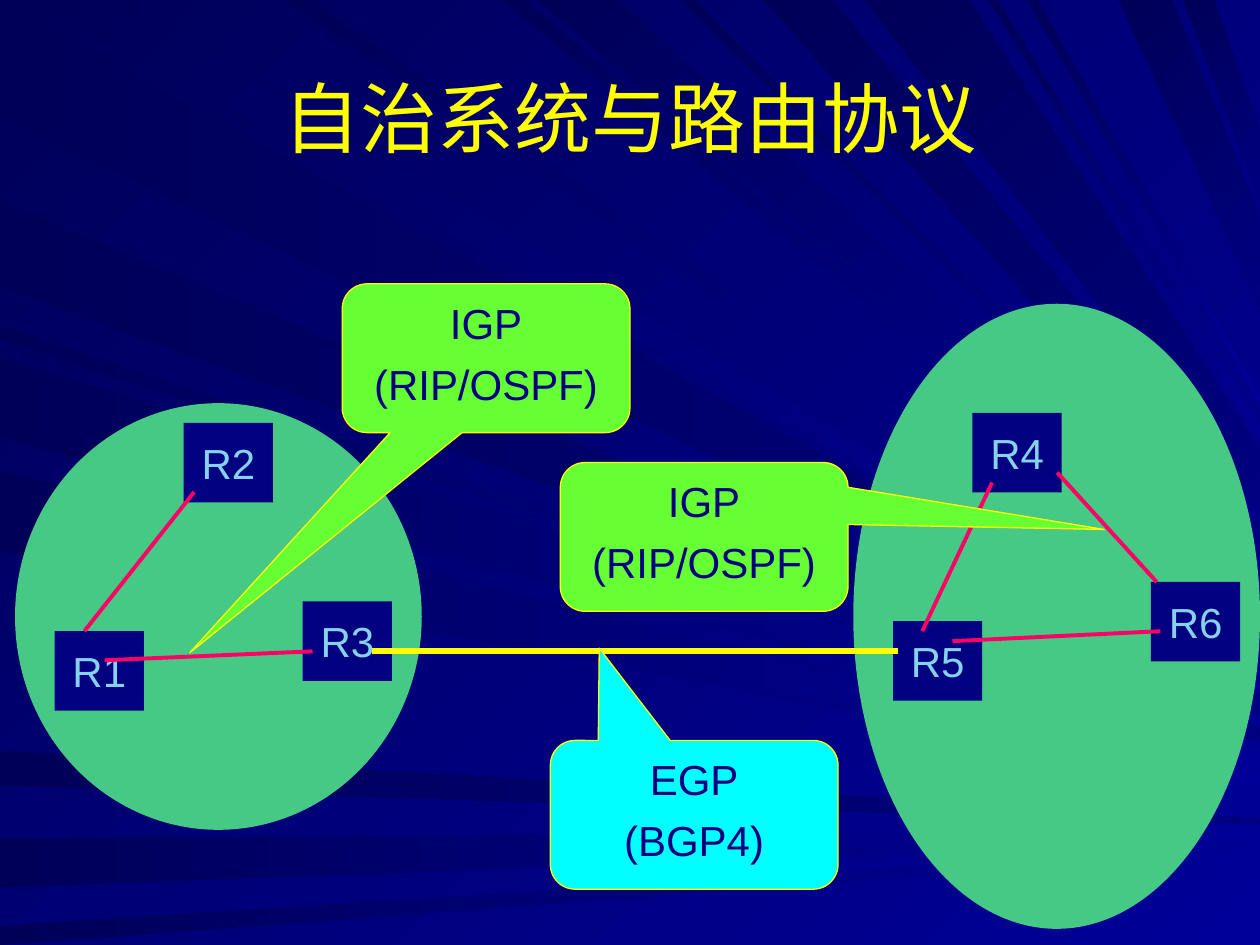
"""Build the slide on autonomous systems and routing protocols."""
from lxml.etree import SubElement
from pptx import Presentation
from pptx.dml.color import RGBColor
from pptx.enum.shapes import MSO_CONNECTOR, MSO_SHAPE
from pptx.enum.text import MSO_ANCHOR, PP_ALIGN
from pptx.oxml.ns import qn
from pptx.util import Pt

MIDNIGHT = RGBColor(0x00, 0x00, 0x58)
NAVY = RGBColor(0x00, 0x00, 0x80)
BLUE = RGBColor(0x00, 0x00, 0x99)
SEA = RGBColor(0x45, 0xC9, 0x84)
SKY = RGBColor(0x86, 0xD1, 0xEC)
PINK = RGBColor(0xFF, 0x00, 0x66)
YELLOW = RGBColor(0xFF, 0xFF, 0x00)
LIME = RGBColor(0x66, 0xFF, 0x33)
CYAN = RGBColor(0x00, 0xFF, 0xFF)

TITLE = "自治系统与路由协议"
FONT = "Arial"
SLIDE_SIZE = (720, 540)
ROUTER_SIZE = (51, 45.4)
CALLOUT_SIZE = (164.4, 85)

SYSTEMS = [
    {
        "area": (8.6, 230.4, 232.4, 243.8),
        "routers": {"R1": (31.2, 360.7), "R2": (105, 241.7), "R3": (173, 343.7)},
        "links": [((59.8, 377.3), (178.6, 372.2)), ((48.2, 360.7), (110.9, 281.2))],
    },
    {
        "area": (487.6, 173.6, 232.4, 357.2),
        "routers": {"R5": (510.3, 355), "R4": (555.7, 236), "R6": (657.7, 332.6)},
        "links": [
            ((544.3, 366.4), (663.1, 360.7)),
            ((527, 360.7), (566.9, 275.8)),
            ((661, 332.6), (604.1, 270)),
        ],
    },
]
BORDER_LINK = ((212.4, 372), (513.4, 372))
CALLOUTS = [
    (("IGP", "(RIP/OSPF)"), (195.6, 162.2), LIME, (-1.03, 1.98)),
    (("IGP", "(RIP/OSPF)"), (320.2, 264.3), LIME, (1.39, -0.05)),
    (("EGP", "(BGP4)"), (314.5, 423.1), CYAN, (-0.33, -1.12)),
]

VANISHING_POINT = (860, 475)
LEFT_RAYS = [
    (1, 67, NAVY), (429, 449, NAVY), (479, 507, BLUE), (529, 540, BLUE),
    (115, 164, NAVY), (186, 194, BLUE), (269, 315, BLUE), (204, 250, BLUE),
]
TOP_RAYS = [
    (19, 73, BLUE), (162, 178, BLUE), (287, 300, BLUE), (307, 354, BLUE),
    (389, 397, BLUE), (436, 476, NAVY), (494, 554, NAVY), (565, 570, BLUE),
    (587, 593, BLUE), (639, 670, NAVY), (676, 694, NAVY),
]


def paint_gradient(fill, end, clockwise):
    fill.gradient()
    fill.gradient_angle = (360 - clockwise) % 360
    for stop, color, position in zip(fill.gradient_stops, (MIDNIGHT, end), (0, 1)):
        stop.color.rgb = color
        stop.position = position


def right_edge_point(start):
    x, y = start
    vanish_x, vanish_y = VANISHING_POINT
    right = SLIDE_SIZE[0]
    return right, y + (vanish_y - y) * (right - x) / (vanish_x - x)


def add_ray(slide, first, second, end, clockwise):
    corners = [first, right_edge_point(first), right_edge_point(second), second]
    points = [(Pt(x), Pt(y)) for x, y in corners]
    outline = slide.shapes.build_freeform(*points[0])
    outline.add_line_segments(points[1:], close=True)
    ray = outline.convert_to_shape()
    ray.shadow.inherit = False
    ray.line.fill.background()
    paint_gradient(ray.fill, end, clockwise)


def write(frame, lines, size, color, anchor, wrap=True):
    frame.word_wrap = wrap
    frame.vertical_anchor = anchor
    for index, line in enumerate(lines):
        paragraph = frame.add_paragraph() if index else frame.paragraphs[0]
        paragraph.text = line
        paragraph.alignment = PP_ALIGN.CENTER
        paragraph.space_before = Pt(6 if index else 0)
        paragraph.font.size = Pt(size)
        paragraph.font.name = FONT
        paragraph.font.color.rgb = color


def add_filled(slide, preset, box, color):
    shape = slide.shapes.add_shape(preset, *map(Pt, box))
    shape.shadow.inherit = False
    shape.fill.solid()
    shape.fill.fore_color.rgb = color
    shape.line.fill.background()
    return shape


def add_link(slide, ends, color, width):
    start, end = ends
    link = slide.shapes.add_connector(MSO_CONNECTOR.STRAIGHT, *map(Pt, start + end))
    link.line.color.rgb = color
    link.line.width = Pt(width)
    SubElement(link._element.spPr, qn("a:effectLst"))


def add_system(slide, system):
    add_filled(slide, MSO_SHAPE.OVAL, system["area"], SEA)
    for name, corner in system["routers"].items():
        router = add_filled(slide, MSO_SHAPE.RECTANGLE, corner + ROUTER_SIZE, NAVY)
        write(router.text_frame, [name], 24, SKY, MSO_ANCHOR.MIDDLE, wrap=False)
    for ends in system["links"]:
        add_link(slide, ends, PINK, 2.25)


def add_callout(slide, lines, corner, color, tip):
    callout = add_filled(slide, MSO_SHAPE.ROUNDED_RECTANGULAR_CALLOUT, corner + CALLOUT_SIZE, color)
    callout.adjustments[0], callout.adjustments[1] = tip
    callout.line.color.rgb = YELLOW
    callout.line.width = Pt(0.75)
    write(callout.text_frame, lines, 24, NAVY, MSO_ANCHOR.TOP)


def main():
    deck = Presentation()
    deck.slide_width, deck.slide_height = map(Pt, SLIDE_SIZE)
    slide = deck.slides.add_slide(deck.slide_layouts[6])
    paint_gradient(slide.background.fill, BLUE, 45)
    for upper, lower, end in LEFT_RAYS:
        add_ray(slide, (0, upper), (0, lower), end, 0)
    for near, far, end in TOP_RAYS:
        add_ray(slide, (near, 0), (far, 0), end, 45)
    for system in SYSTEMS:
        add_system(slide, system)
    add_link(slide, BORDER_LINK, YELLOW, 3)
    for callout in CALLOUTS:
        add_callout(slide, *callout)
    title = slide.shapes.add_textbox(Pt(36), Pt(21.6), Pt(648), Pt(90))
    write(title.text_frame, [TITLE], 44, YELLOW, MSO_ANCHOR.MIDDLE)
    deck.save("out.pptx")


if __name__ == "__main__":
    main()
